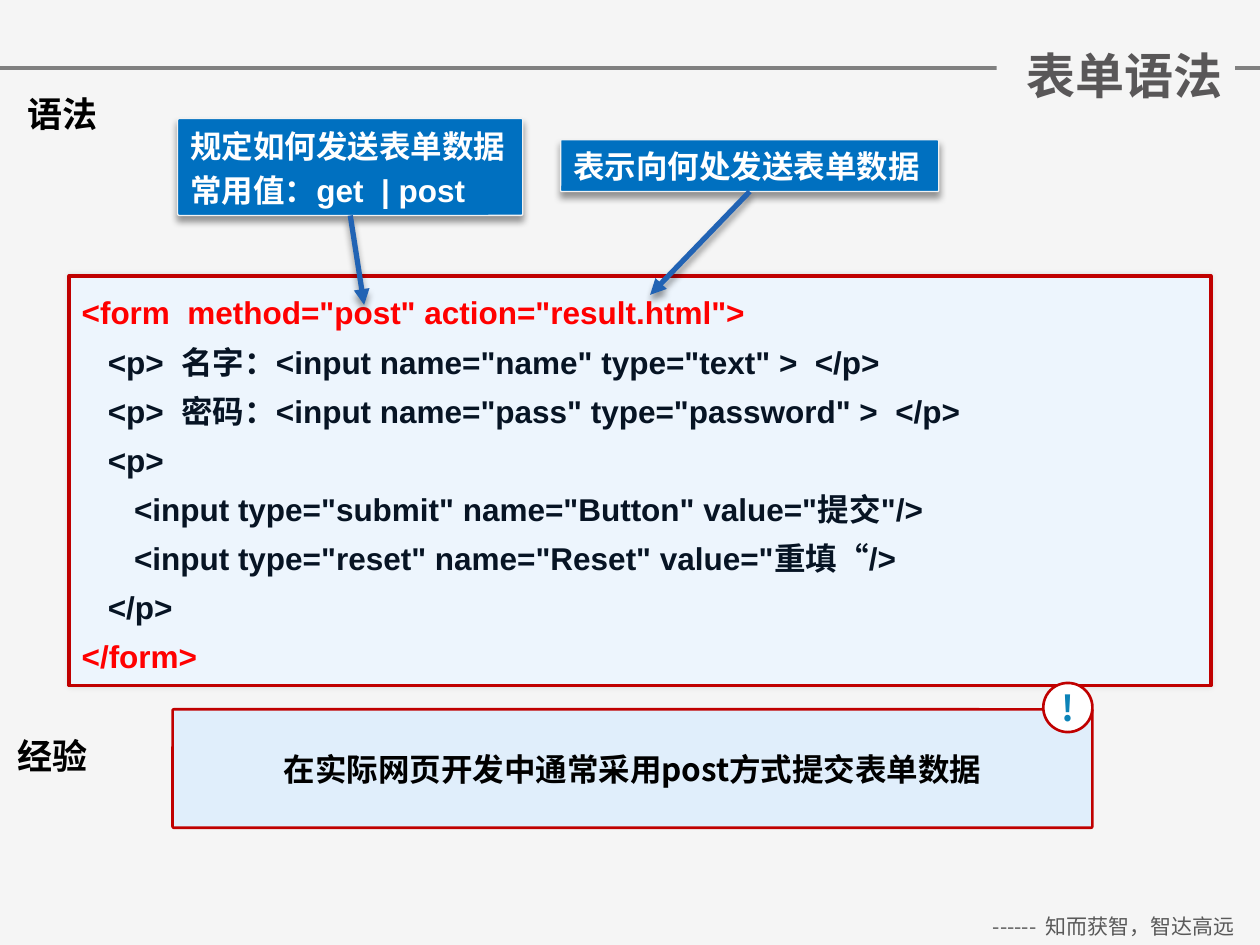
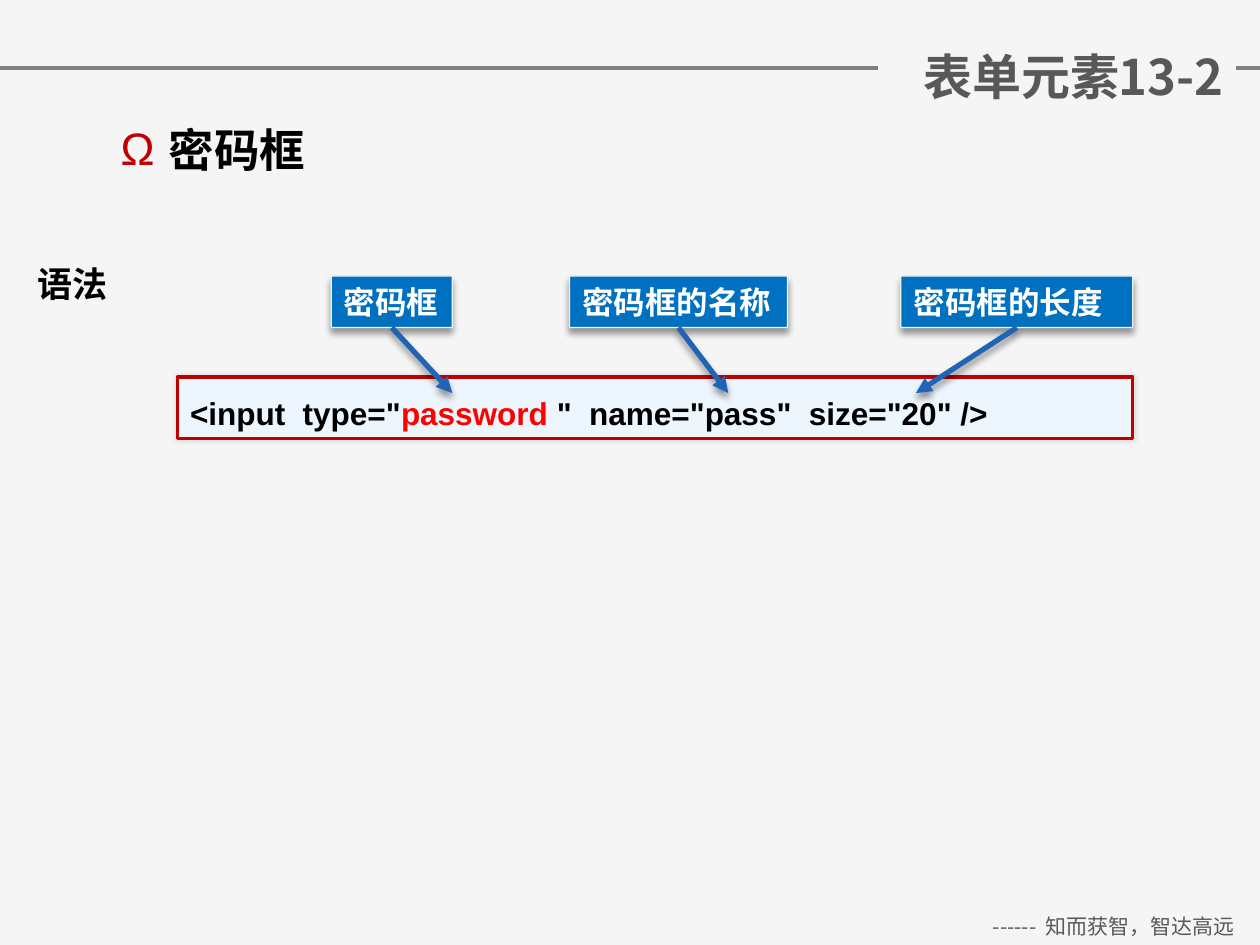
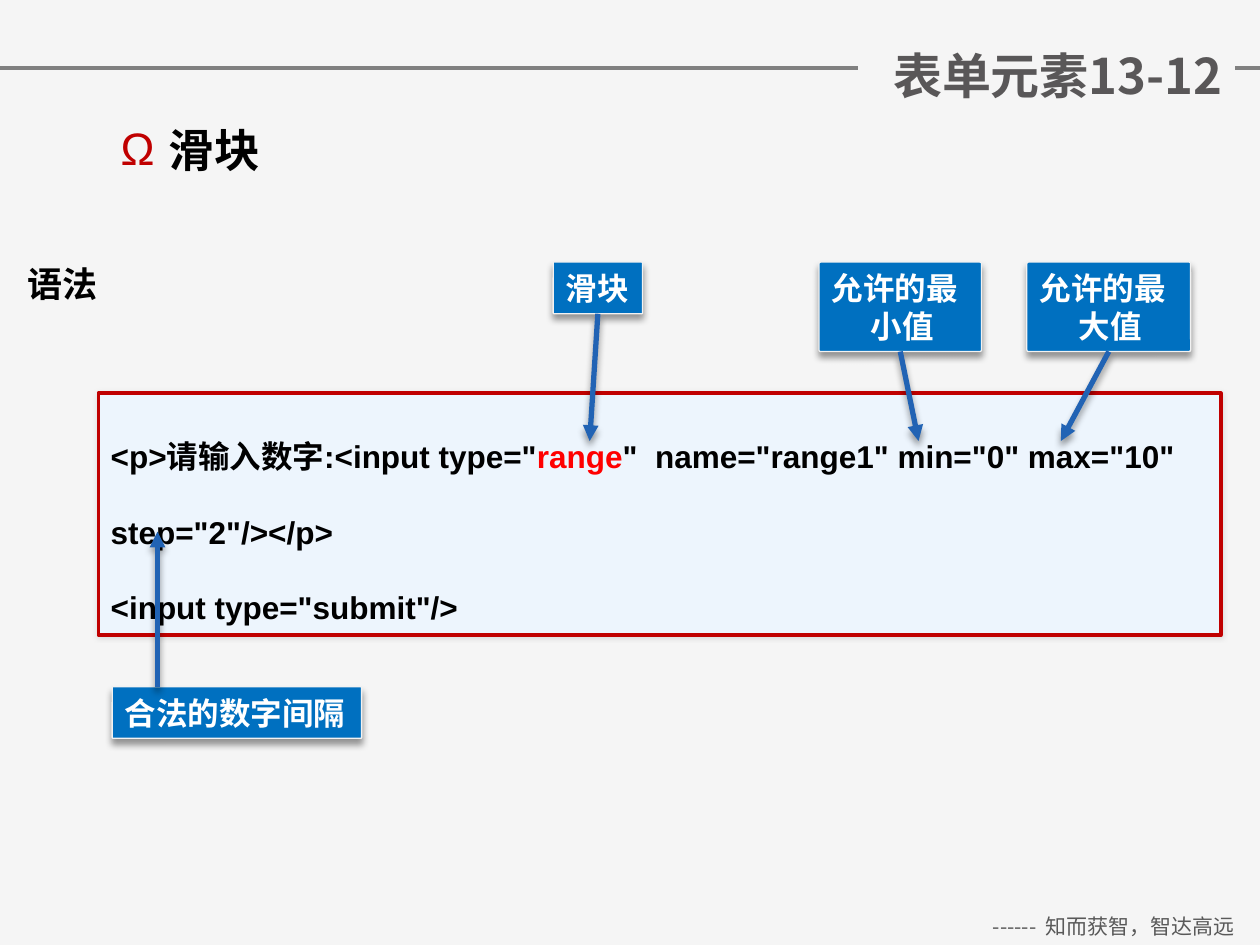
from lxml.etree import SubElement
from pptx import Presentation
from pptx.dml.color import RGBColor
from pptx.enum.shapes import MSO_CONNECTOR as LINK, MSO_SHAPE as KIND
from pptx.enum.text import MSO_ANCHOR as ANCHOR, PP_ALIGN as ALIGN
from pptx.oxml.ns import qn
from pptx.util import Inches, Pt

# Colours and fonts
PAPER = RGBColor(0xF5, 0xF5, 0xF5)
RULE = RGBColor(0x80, 0x80, 0x80)
FOOT = RGBColor(0x59, 0x59, 0x59)
TITLE = RGBColor(0x59, 0x57, 0x58)
BLACK = RGBColor(0x00, 0x00, 0x00)
WHITE = RGBColor(0xFF, 0xFF, 0xFF)
NAVY = RGBColor(0x07, 0x14, 0x24)
RED = RGBColor(0xFF, 0x00, 0x00)
CRIMSON = RGBColor(0xC0, 0x00, 0x00)
ICE = RGBColor(0xED, 0xF5, 0xFD)
SKY = RGBColor(0xE0, 0xEE, 0xFB)
BLUE = RGBColor(0x00, 0x70, 0xC0)
EDGE = RGBColor(0xF2, 0xF2, 0xF2)
ARROW = RGBColor(0x21, 0x63, 0xB4)
TEAL = RGBColor(0x0C, 0x83, 0xB8)
HAN = "Noto Sans CJK SC"
LATIN = "Arial"
HANG = 0.31


# Text and effects
def style(run, size, color, font=HAN, bold=True):
    run.font.size = Pt(size)
    run.font.bold = bold
    run.font.color.rgb = color
    run.font.name = font
    SubElement(run.font._element, qn("a:ea"), typeface=HAN)


def write(shape, text, size, color, font=HAN, bold=True, align=ALIGN.LEFT,
          anchor=ANCHOR.MIDDLE, wrap=True):
    frame = shape.text_frame
    frame.text = text
    frame.word_wrap = wrap
    frame.vertical_anchor = anchor
    for para in frame.paragraphs:
        para.alignment = align
        for run in para.runs:
            style(run, size, color, font, bold)
    return frame.paragraphs


def indent(para, width):
    props = para._p.get_or_add_pPr()
    props.set("marL", str(Inches(width)))
    props.set("indent", str(-Inches(width)))
    return props


def shade(effects, alpha=40, blur=4, dist=3, angle=90):
    drop = SubElement(effects, qn("a:outerShdw"), blurRad=str(Pt(blur)),
                      dist=str(Pt(dist)), dir=str(angle * 60000),
                      algn="ctr", rotWithShape="0")
    color = SubElement(drop, qn("a:srgbClr"), val=str(BLACK))
    SubElement(color, qn("a:alpha"), val=str(alpha * 1000))


# Basic elements
def text_box(slide, x, y, w, h):
    return slide.shapes.add_textbox(Inches(x), Inches(y), Inches(w), Inches(h))


def block(slide, kind, x, y, w, h, fill, edge=None, width=1.5, round_by=0):
    shape = slide.shapes.add_shape(kind, Inches(x), Inches(y), Inches(w), Inches(h))
    shape.fill.solid()
    shape.fill.fore_color.rgb = fill
    if edge is None:
        shape.line.fill.background()
    else:
        shape.line.color.rgb = edge
        shape.line.width = Pt(width)
    if kind == KIND.ROUNDED_RECTANGLE:
        shape.adjustments[0] = round_by
    shape.shadow.inherit = False
    return shape


def link(slide, start, end, color, width):
    line = slide.shapes.add_connector(LINK.STRAIGHT, *map(Inches, start + end))
    line.line.color.rgb = color
    line.line.width = Pt(width)
    effects = SubElement(line._element.spPr, qn("a:effectLst"))
    return line, effects


# Slide parts
def page(deck, title, x, w, y=0.31, h=0.57):
    slide = deck.slides.add_slide(deck.slide_layouts[6])
    slide.background.fill.solid()
    slide.background.fill.fore_color.rgb = PAPER
    link(slide, (0, 0.54), (10, 0.54), RULE, 2)
    foot = text_box(slide, 7.68, 7.2, 2.32, 0.3)
    write(foot, "------  知而获智，智达高远", 12, FOOT, bold=False,
          align=ALIGN.CENTER, anchor=ANCHOR.TOP)
    head = block(slide, KIND.RECTANGLE, x, y, w, h, PAPER)
    write(head, title, 28, TITLE, align=ALIGN.RIGHT)
    return slide


def topic(slide, text):
    box = text_box(slide, 0.86, 0.92, 8.36, 5.63)
    box.text_frame.text = text
    para = box.text_frame.paragraphs[0]
    props = indent(para, 0.38)
    color = SubElement(props, qn("a:buClr"))
    SubElement(color, qn("a:srgbClr"), val=str(CRIMSON))
    SubElement(props, qn("a:buFont"), typeface=LATIN)
    SubElement(props, qn("a:buChar"), char="Ω")
    box.text_frame.word_wrap = True
    style(para.runs[0], 26, BLACK)


def label(slide, text, x, y):
    box = text_box(slide, x, y, 0.77, 0.44)
    para = write(box, text, 20, BLACK, wrap=False)[0]
    props = para.runs[0].font._element
    effects = SubElement(props, qn("a:effectLst"))
    shade(effects)
    props.find(qn("a:latin")).addprevious(effects)


def code(slide, x, y, w, h, lines, space=1.3):
    """Each line is a list of (text, colour) pairs."""
    box = block(slide, KIND.ROUNDED_RECTANGLE, x, y, w, h, ICE, CRIMSON, 2)
    shade(box._element.spPr.find(qn("a:effectLst")), 10, 3, 0, 0)
    frame = box.text_frame
    frame.word_wrap = True
    frame.vertical_anchor = ANCHOR.TOP
    for i, line in enumerate(lines):
        para = frame.add_paragraph() if i else frame.paragraphs[0]
        para.alignment = ALIGN.LEFT
        para.line_spacing = space
        for text, color in line:
            run = para.add_run()
            run.text = text
            style(run, 18, color, LATIN)


def note(slide, text, x, y, w, tip, h=0.41, start=None, wrap=False):
    """A blue caption with an arrow, by default from its bottom centre."""
    box = block(slide, KIND.ROUNDED_RECTANGLE, x, y, w, h, BLUE, EDGE, 0.75, 0.018)
    shade(box._element.spPr.find(qn("a:effectLst")))
    paras = write(box, text, 18, WHITE, LATIN, anchor=ANCHOR.BOTTOM, wrap=wrap)
    for i, para in enumerate(paras):
        indent(para, HANG)
        if i:
            para.space_before = Pt(3.6)
    line, effects = link(slide, start or (x + w / 2, y + h), tip, ARROW, 3)
    SubElement(line._element.spPr.find(qn("a:ln")), qn("a:tailEnd"), type="triangle")
    shade(effects)


def advice(slide, text, x, y, w, h):
    box = block(slide, KIND.ROUNDED_RECTANGLE, x, y, w, h, SKY, CRIMSON, 1.5, 0.012)
    write(box, text, 18, BLACK, align=ALIGN.CENTER)
    size = 0.39
    mark = block(slide, KIND.OVAL, x + w - size, y - 0.21, size, size, WHITE, CRIMSON)
    write(mark, "!", 20, TEAL, align=ALIGN.CENTER, wrap=False)


# Slides
def form_page(deck):
    slide = page(deck, "表单语法", 7.91, 1.89)
    label(slide, "语法", 0.12, 0.68)
    inner = [
        '   <p>  名字：<input name="name" type="text" >  </p>',
        '   <p>  密码：<input name="pass" type="password" >  </p>',
        '   <p>',
        '      <input type="submit" name="Button" value="提交"/>',
        '      <input type="reset" name="Reset" value="重填“/>',
        '   </p>',
    ]
    lines = [[('<form  method="post" action="result.html">', RED)]]
    lines += [[(text, NAVY)] for text in inner]
    lines += [[("</form>", RED)]]
    code(slide, 0.55, 2.19, 9.06, 3.25, lines)
    note(slide, "规定如何发送表单数据\n常用值：get  | post", 1.41, 0.94, 2.74,
         (2.89, 2.42), h=0.77)
    note(slide, "表示向何处发送表单数据", 4.45, 1.11, 3, (5.16, 2.34))
    label(slide, "经验", 0.04, 5.78)
    advice(slide, "在实际网页开发中通常采用post方式提交表单数据", 1.37, 5.63, 7.3, 0.94)


def password_page(deck):
    slide = page(deck, "表单元素13-2", 6.97, 2.84, 0.08, 1.04)
    topic(slide, "密码框")
    label(slide, "语法", 0.2, 2.03)
    code(slide, 1.41, 2.99, 7.58, 0.49, [[
        ('<input  type="', BLACK), ("password ", RED),
        ('"  name="pass"  size="20" />', BLACK)]])
    top, tip = 2.19, 3.12
    note(slide, "密码框", 2.63, top, 0.96, (3.59, tip))
    note(slide, "密码框的名称", 4.52, top, 1.73, (5.78, tip))
    note(slide, "密码框的长度", 7.15, top, 1.84, (7.27, tip), wrap=True)


def range_page(deck):
    slide = page(deck, "表单元素13-12", 6.81, 2.99)
    topic(slide, "滑块")
    label(slide, "语法", 0.12, 2.03)
    code(slide, 0.78, 3.12, 8.91, 1.92, [
        [('<p>请输入数字:<input type="', BLACK), ("range", RED),
         ('"  name="range1" min="0" max="10" step="2"/></p>', BLACK)],
        [('<input type="submit"/>', BLACK)]], space=2.0)
    top, tip = 2.08, 3.5
    note(slide, "滑块", 4.39, top, 0.71, (4.68, tip))
    note(slide, "允许的最小值", 6.5, top, 1.29, (7.29, tip), h=0.71, wrap=True)
    note(slide, "允许的最大值", 8.15, top, 1.3, (8.42, tip), h=0.71, wrap=True)
    note(slide, "合法的数字间隔", 0.89, 5.45, 1.98, (1.25, 4.22), start=(1.25, 5.45))


def main():
    deck = Presentation()
    deck.slide_width = Inches(10)
    deck.slide_height = Inches(7.5)
    form_page(deck)
    password_page(deck)
    range_page(deck)
    deck.save("out.pptx")


if __name__ == "__main__":
    main()
